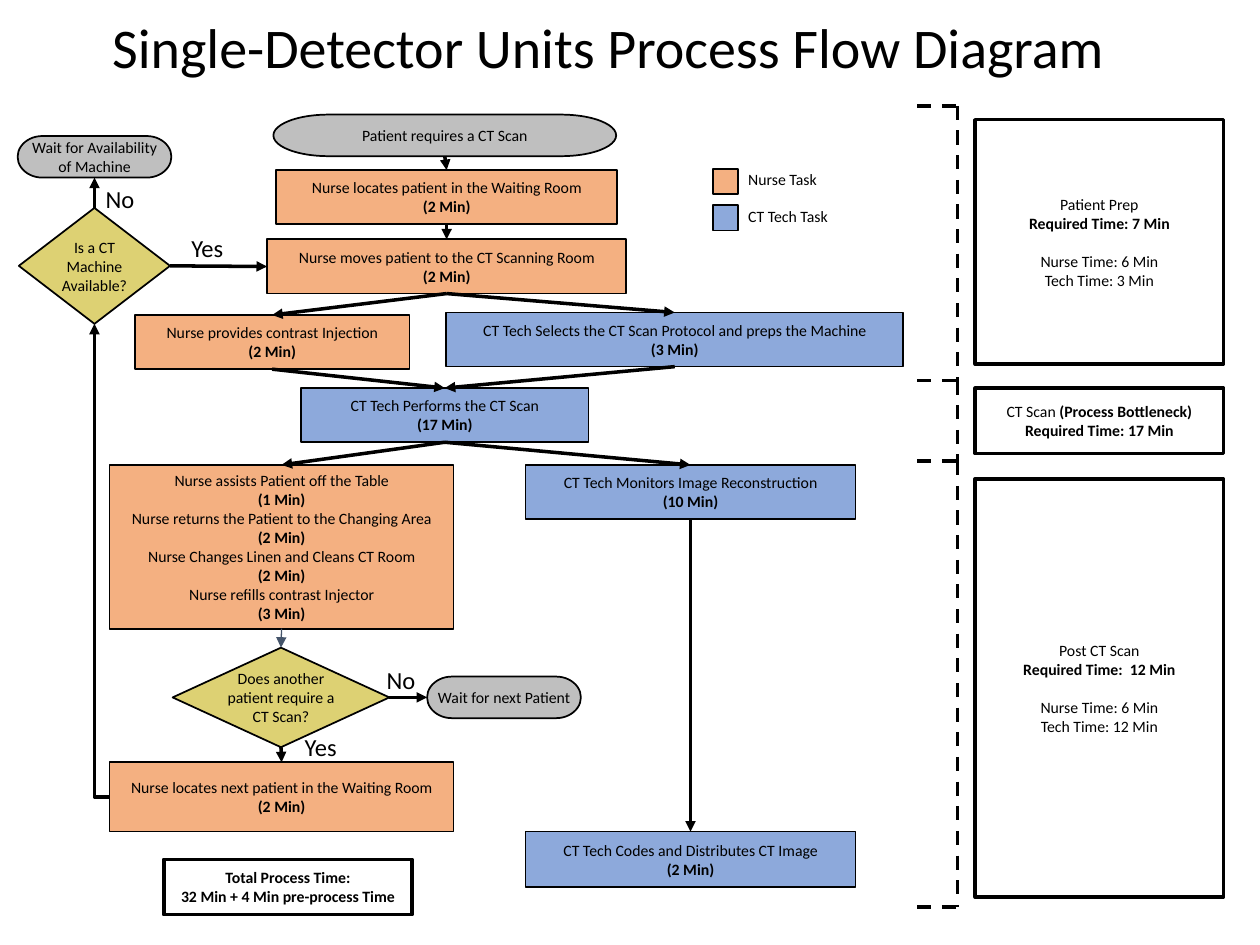
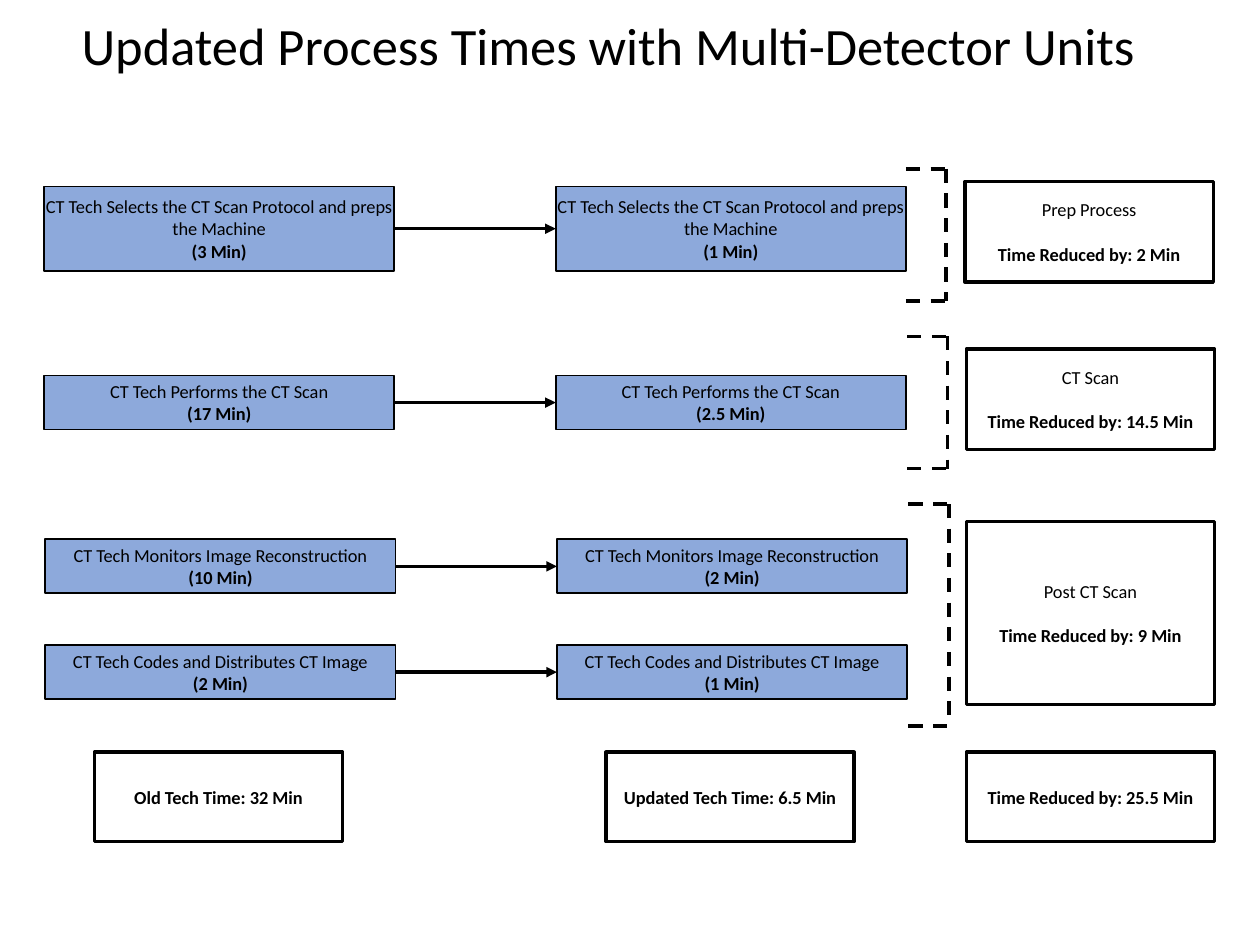
from pptx import Presentation
from pptx.dml.color import RGBColor
from pptx.enum.dml import MSO_LINE
from pptx.enum.shapes import MSO_CONNECTOR, MSO_SHAPE
from pptx.enum.text import MSO_ANCHOR, MSO_AUTO_SIZE, PP_ALIGN
from pptx.oxml.ns import qn
from pptx.util import Inches, Pt
from lxml import etree

RECT = MSO_SHAPE.RECTANGLE
OVAL = MSO_SHAPE.FLOWCHART_TERMINATOR
GEM = MSO_SHAPE.DIAMOND
LINE = MSO_CONNECTOR.STRAIGHT
ELBOW = MSO_CONNECTOR.ELBOW
DASH = MSO_LINE.DASH
MIDDLE, TOP = MSO_ANCHOR.MIDDLE, MSO_ANCHOR.TOP
CENTER = PP_ALIGN.CENTER
FIXED = MSO_AUTO_SIZE.NONE
FONT = "Calibri"
BLACK, SLATE = "000000", "44546A"
NURSE, TECH, WAIT, ASK = "F4B081", "8DA9DB", "BFBFBF", "DDD173"
UP, LEFT, DOWN, RIGHT = range(4)
rgb = RGBColor.from_string


def box(slide, place, text="", fill=None, kind=RECT, size=9):
    shape = slide.shapes.add_shape(kind, *map(Inches, place))
    shape.shadow.inherit = False
    shape.line.color.rgb = rgb(BLACK)
    shape.line.width = Pt(1 if fill else 2)
    frame = shape.text_frame
    frame.word_wrap = True
    frame.vertical_anchor = MIDDLE
    if fill:
        shape.fill.solid()
        shape.fill.fore_color.rgb = rgb(fill)
        frame.margin_left = frame.margin_right = 0
        frame.margin_top = frame.margin_bottom = 0
    else:
        shape.fill.background()
    gap = False
    rows = iter(text.split("\n"))
    para = frame.paragraphs[0]
    for row in rows:
        if not row:
            gap = True
            continue
        if para.runs:
            para = frame.add_paragraph()
        para.alignment = CENTER
        para.font.name = FONT
        para.font.size = Pt(size)
        para.font.color.rgb = rgb(BLACK)
        if gap:
            para.space_before = Pt(size * 1.22)
            gap = False
        plain, mark, strong = row.partition("*")
        if plain:
            para.add_run().text = plain
        if strong:
            run = para.add_run()
            run.text = strong
            (run if plain else para).font.bold = True
    return shape


def link(slide, ends, kind=LINE, dash=False, color=BLACK, width=2):
    wire = slide.shapes.add_connector(kind, *map(Inches, ends))
    wire.line.color.rgb = rgb(color)
    wire.line.width = Pt(width)
    props = wire._element.spPr
    if dash:
        wire.line.dash_style = DASH
    else:
        etree.SubElement(props.find(qn("a:ln")), qn("a:tailEnd"), type="triangle")
    etree.SubElement(props, qn("a:effectLst"))
    return wire


deck = Presentation()
deck.slide_width, deck.slide_height = Inches(10), Inches(7.5)
slides = []
for words, size in [("Single-Detector Units Process Flow Diagram", 32),
                    ("Updated Process Times with Multi-Detector Units", 30)]:
    slide = deck.slides.add_slide(deck.slide_layouts[5])
    title = slide.shapes.title
    title.left, title.top, title.width, title.height = map(Inches, (0.52, 0.11, 8.62, 1.45))
    frame = title.text_frame
    frame.text = words
    frame.auto_size = FIXED
    frame.vertical_anchor = TOP
    para = frame.paragraphs[0]
    para.alignment = CENTER
    para.line_spacing = 0.9
    para.font.name = FONT
    para.font.size = Pt(size)
    para.font.color.rgb = rgb(BLACK)
    slides.append(slide)
flow, times = slides

steps = {}
for name, place, text, fill, kind in [
    ("free", (0.15, 1.65, 1.2, 0.92), "Is a CT Machine Available?", ASK, GEM),
    ("hold", (0.14, 1.08, 1.22, 0.33), "Wait for Availability of Machine", WAIT, OVAL),
    ("start", (2.17, 0.91, 2.72, 0.33), "Patient requires a CT Scan", WAIT, OVAL),
    ("find", (2.19, 1.35, 2.71, 0.43),
     "Nurse locates patient in the Waiting Room\n*(2 Min)", NURSE, RECT),
    ("move", (2.12, 1.9, 2.85, 0.43),
     "Nurse moves patient to the CT Scanning Room\n*(2 Min)", NURSE, RECT),
    ("inject", (1.07, 2.5, 2.18, 0.43),
     "Nurse provides contrast Injection\n*(2 Min)", NURSE, RECT),
    ("prep", (3.54, 2.48, 3.63, 0.43),
     "CT Tech Selects the CT Scan Protocol and preps the Machine\n*(3 Min)", TECH, RECT),
    ("scan", (2.39, 3.08, 2.28, 0.43), "CT Tech Performs the CT Scan\n*(17 Min)", TECH, RECT),
    ("clean", (0.87, 3.69, 2.73, 1.3),
     "Nurse assists Patient off the Table\n*(1 Min)\n"
     "Nurse returns the Patient to the Changing Area\n*(2 Min)\n"
     "Nurse Changes Linen and Cleans CT Room\n*(2 Min)\n"
     "Nurse refills contrast Injector\n*(3 Min)", NURSE, RECT),
    ("watch", (4.17, 3.69, 2.62, 0.43),
     "CT Tech Monitors Image Reconstruction\n*(10 Min)", TECH, RECT),
    ("code", (4.17, 6.6, 2.62, 0.44),
     "CT Tech Codes and Distributes CT Image\n*(2 Min)", TECH, RECT),
    ("more", (1.37, 5.14, 1.72, 0.79), "Does another patient require a CT Scan?", ASK, GEM),
    ("rest", (3.39, 5.37, 1.22, 0.33), "Wait for next Patient", WAIT, OVAL),
    ("next", (0.87, 6.05, 2.73, 0.55),
     "Nurse locates next patient in the Waiting Room\n*(2 Min)", NURSE, RECT),
]:
    steps[name] = box(flow, place, text, fill, kind)

for first, out, last, into in [
    ("start", DOWN, "find", UP), ("find", DOWN, "move", UP),
    ("move", DOWN, "inject", UP), ("move", DOWN, "prep", UP),
    ("inject", DOWN, "scan", UP), ("prep", DOWN, "scan", UP),
    ("scan", DOWN, "clean", UP), ("scan", DOWN, "watch", UP),
    ("watch", DOWN, "code", UP), ("clean", DOWN, "more", UP),
    ("more", DOWN, "next", UP), ("more", RIGHT, "rest", LEFT),
    ("free", RIGHT, "move", LEFT), ("free", UP, "hold", DOWN),
    ("next", LEFT, "free", DOWN),
]:
    kind = ELBOW if first == "next" else LINE
    thin = first == "clean"
    wire = link(flow, (0, 0, 0, 0), kind, color=SLATE if thin else BLACK,
                width=0.75 if thin else 2)
    wire.begin_connect(steps[first], out)
    wire.end_connect(steps[last], into)
    if kind == ELBOW:
        wire._element.spPr.find(qn("a:prstGeom")).set("prst", "bentConnector2")

for place, text in [
    ((7.74, 0.95, 1.97, 1.94),
     "Patient Prep\n*Required Time: 7 Min\n\nNurse Time: 6 Min\nTech Time: 3 Min"),
    ((7.74, 3.08, 1.97, 0.52),
     "CT Scan *(Process Bottleneck)\n*Required Time: 17 Min"),
    ((7.74, 3.8, 1.97, 3.32),
     "Post CT Scan\n*Required Time:  12 Min\n\nNurse Time: 6 Min\nTech Time: 12 Min"),
    ((1.3, 6.82, 1.97, 0.44),
     "*Total Process Time:\n*32 Min + 4 Min pre-process Time"),
]:
    box(flow, place, text)

for top, fill in [(1.34, NURSE), (1.63, TECH)]:
    box(flow, (5.66, top, 0.2, 0.2), fill=fill)

for text, place, size in [
    ("Nurse Task", (5.84, 1.3, 1.97, 0.25), 9),
    ("CT Tech Task", (5.84, 1.59, 1.97, 0.25), 9),
    ("No", (2.97, 5.23, 0.8, 0.34), 14),
    ("Yes", (2.32, 5.76, 0.8, 0.34), 14),
    ("No", (0.74, 1.41, 0.8, 0.34), 14),
    ("Yes", (1.42, 1.8, 0.8, 0.34), 14),
]:
    frame = flow.shapes.add_textbox(*map(Inches, place)).text_frame
    frame.word_wrap = True
    frame.text = text
    font = frame.paragraphs[0].font
    font.name = FONT
    font.size = Pt(size)
    font.color.rgb = rgb(BLACK)

for left, top, high, task, old, new in [
    (0.35, 1.48, 0.67, "CT Tech Selects the CT Scan Protocol and preps the Machine", "3", "1"),
    (0.35, 2.98, 0.43, "CT Tech Performs the CT Scan", "17", "2.5"),
    (0.36, 4.28, 0.43, "CT Tech Monitors Image Reconstruction", "10", "2"),
    (0.36, 5.12, 0.43, "CT Tech Codes and Distributes CT Image", "2", "1"),
]:
    pair = [box(times, (x, top, 2.78, high), f"{task}\n*({time} Min)", TECH, size=10.5)
            for x, time in [(left, old), (left + 4.06, new)]]
    wire = link(times, (0, 0, 0, 0))
    wire.begin_connect(pair[0], RIGHT)
    wire.end_connect(pair[1], LEFT)

for left, top, high, text in [
    (7.66, 1.44, 0.8, "Prep Process\n\n*Time Reduced by: 2 Min"),
    (7.67, 2.77, 0.8, "CT Scan\n\n*Time Reduced by: 14.5 Min"),
    (7.67, 4.14, 1.45, "Post CT Scan\n\n*Time Reduced by: 9 Min"),
    (0.75, 5.97, 0.71, "*Old Tech Time: 32 Min"),
    (4.81, 5.97, 0.71, "*Updated Tech Time: 6.5 Min"),
    (7.67, 5.97, 0.71, "*Time Reduced by: 25.5 Min"),
]:
    box(times, (left, top, 1.97, high), text, size=10.5)

for slide, left, stops in [
    (flow, 7.28, (0.84, 3.02, 3.66, 7.2)),
    (times, 7.19, (1.34, 2.39)),
    (times, 7.2, (2.67, 3.72)),
    (times, 7.21, (4, 5.76)),
]:
    spine = left + 0.32
    for y in stops:
        link(slide, (left, y, spine, y), dash=True)
    for top, base in zip(stops, stops[1:]):
        link(slide, (spine, top, spine, base), dash=True)

deck.save("out.pptx")
